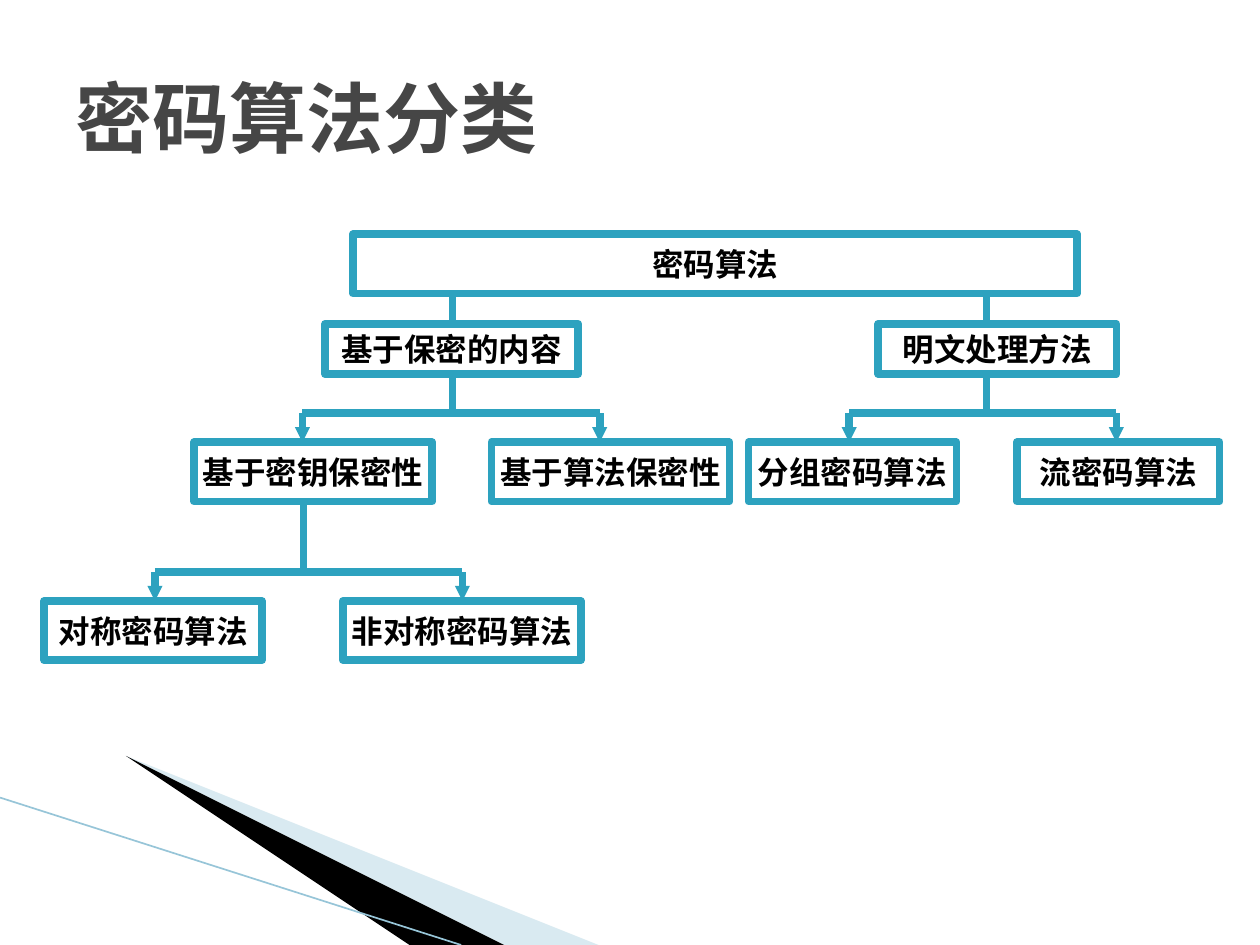
from dataclasses import dataclass

from lxml.etree import SubElement
from pptx import Presentation
from pptx.dml.color import RGBColor
from pptx.enum.shapes import MSO_CONNECTOR, MSO_SHAPE
from pptx.enum.text import MSO_ANCHOR, PP_ALIGN
from pptx.oxml.ns import qn
from pptx.util import Inches, Pt


@dataclass(frozen=True)
class Theme:
    accent: str = "2DA2BF"
    title: str = "464646"
    label: str = "000000"
    paper: str = "FFFFFF"
    pale_wedge: str = "A0CBDC"
    dark_wedge: str = "000000"
    edge: str = "97C5D8"
    serif: str = "Times New Roman"
    mono: str = "Noto Sans Mono"
    title_size: float = 44
    label_size: float = 18
    border: float = 4.33
    hairline: float = 0.95


class TreeSlide:
    def __init__(self, slide, theme):
        self.shapes = slide.shapes
        self.theme = theme

    def style_font(self, font, size, color):
        font.size = Pt(size)
        font.bold = True
        font.color.rgb = RGBColor.from_string(color)

    def title(self, left, top, width, height, parts):
        heading = self.shapes.add_textbox(*map(Inches, (left, top, width, height)))
        frame = heading.text_frame
        frame.word_wrap = True
        frame.vertical_anchor = MSO_ANCHOR.MIDDLE
        paragraph = frame.paragraphs[0]
        self.style_font(paragraph.font, self.theme.title_size, self.theme.title)
        for text, typeface in parts:
            run = paragraph.add_run()
            run.text = text
            run.font.name = typeface

    def wedge(self, points, color, opacity=100):
        start, *rest = points
        builder = self.shapes.build_freeform(*start, scale=Inches(1))
        builder.add_line_segments(rest, close=True)
        wedge = builder.convert_to_shape()
        wedge.shadow.inherit = False
        wedge.line.fill.background()
        wedge.fill.solid()
        wedge.fill.fore_color.rgb = RGBColor.from_string(color)
        if opacity < 100:
            srgb = wedge.fill._xPr.find(".//" + qn("a:srgbClr"))
            SubElement(srgb, qn("a:alpha"), val=str(opacity * 1000))

    def line(self, start, end, color=None, width=None, arrow=False):
        ends = map(Inches, (*start, *end))
        connector = self.shapes.add_connector(MSO_CONNECTOR.STRAIGHT, *ends)
        connector.line.color.rgb = RGBColor.from_string(color or self.theme.accent)
        connector.line.width = Pt(width or self.theme.border)
        if arrow:
            SubElement(connector.line._get_or_add_ln(), qn("a:tailEnd"),
                       type="triangle", w="sm", len="sm")
        SubElement(connector._element.spPr, qn("a:effectLst"))

    def branch(self, trunk_x, top, bar_y, child_xs, child_top):
        self.line((trunk_x, top), (trunk_x, bar_y))
        self.line((child_xs[0], bar_y), (child_xs[-1], bar_y))
        for x in child_xs:
            self.line((x, bar_y), (x, child_top), arrow=True)

    def box(self, text, left, top, width, height):
        node = self.shapes.add_shape(
            MSO_SHAPE.RECTANGLE, *map(Inches, (left, top, width, height)))
        node.shadow.inherit = False
        node.fill.solid()
        node.fill.fore_color.rgb = RGBColor.from_string(self.theme.paper)
        node.line.color.rgb = RGBColor.from_string(self.theme.accent)
        node.line.width = Pt(self.theme.border)
        frame = node.text_frame
        frame.word_wrap = False
        frame.vertical_anchor = MSO_ANCHOR.MIDDLE
        paragraph = frame.paragraphs[0]
        paragraph.text = text
        paragraph.alignment = PP_ALIGN.CENTER
        self.style_font(paragraph.font, self.theme.label_size, self.theme.label)
        paragraph.font.name = self.theme.mono


def main():
    presentation = Presentation()
    presentation.slide_width = Inches(10)
    presentation.slide_height = Inches(7.5)
    theme = Theme()
    page = TreeSlide(
        presentation.slides.add_slide(presentation.slide_layouts[6]), theme)

    # Corner decoration
    page.wedge([(0.55, 6.5), (5.9, 7.5), (4.56, 7.5)], theme.pale_wedge, opacity=40)
    page.wedge([(0.53, 6.49), (4.53, 7.5), (3.67, 7.5)], theme.dark_wedge)
    page.line((0, 6.33), (3.66, 7.5), theme.edge, theme.hairline)

    # Title
    page.title(0.5, 0.3, 9, 1.25, [("密码算法", theme.serif), ("分类", theme.mono)])

    # Branches: trunk x, top, bar y, child xs, child top
    page.branch(3.59, 2.33, 3.28, (2.4, 4.76), 3.51)
    page.branch(7.83, 2.33, 3.28, (6.74, 8.86), 3.51)
    page.branch(2.41, 3.99, 4.54, (1.23, 3.67), 4.77)

    # Levels of the tree: top, height, then (text, left, width) of each node
    levels = [
        (1.86, 0.47, [("密码算法", 2.8, 5.75)]),
        (2.57, 0.4, [("基于保密的内容", 2.58, 2.01), ("明文处理方法", 6.97, 1.89)]),
        (3.51, 0.47, [("基于密钥保密性", 1.54, 1.89), ("基于算法保密性", 3.9, 1.89),
                      ("分组密码算法", 5.94, 1.65), ("流密码算法", 8.07, 1.61)]),
        (4.77, 0.47, [("对称密码算法", 0.35, 1.73), ("非对称密码算法", 2.72, 1.89)]),
    ]
    for top, height, nodes in levels:
        for text, left, width in nodes:
            page.box(text, left, top, width, height)

    presentation.save("out.pptx")


if __name__ == "__main__":
    main()
